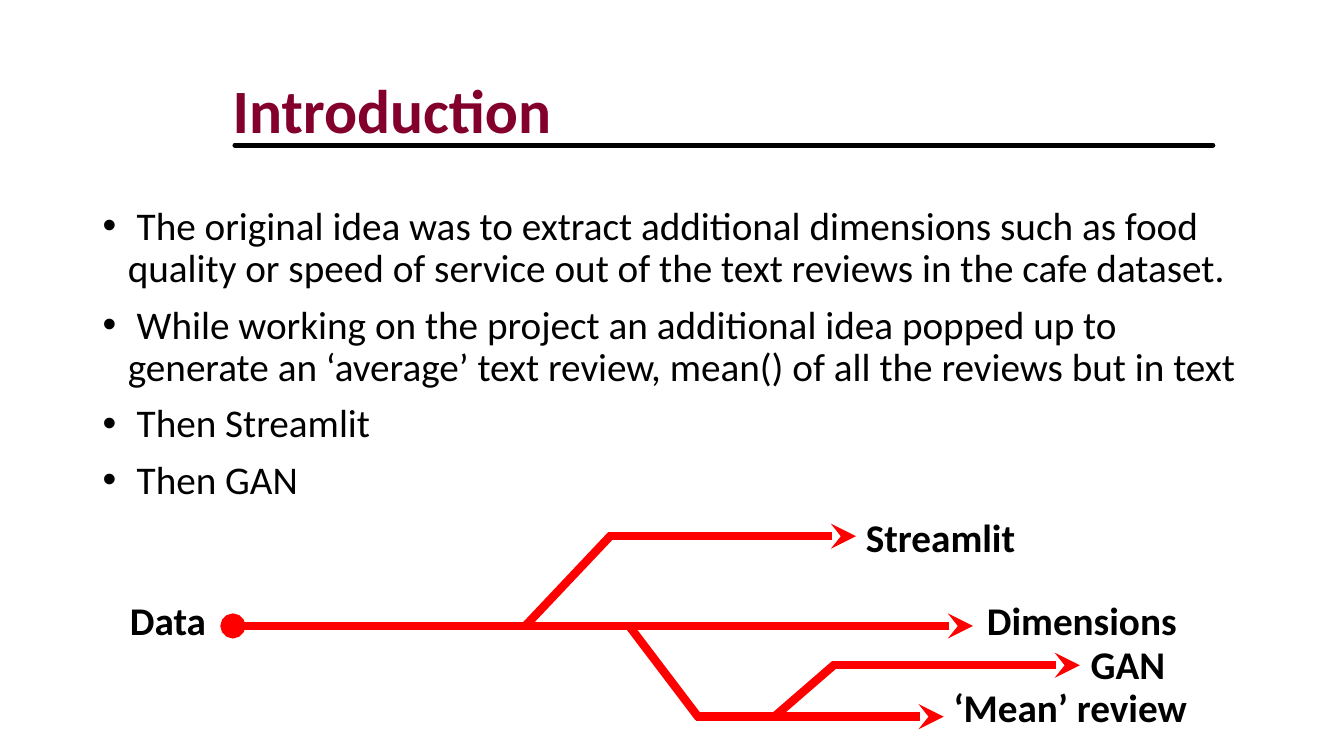
from lxml import etree
from pptx import Presentation
from pptx.dml.color import RGBColor
from pptx.enum.shapes import MSO_CONNECTOR
from pptx.enum.text import MSO_ANCHOR
from pptx.oxml.ns import qn
from pptx.util import Pt

PX = 9144  # 100 px to the inch
MAROON = RGBColor(0x82, 0x00, 0x2B)
BLACK = RGBColor(0x00, 0x00, 0x00)
RED = RGBColor(0xFF, 0x00, 0x00)
FONT = "Calibri"

presentation = Presentation()
presentation.slide_width = 1333 * PX
presentation.slide_height = 750 * PX
slide = presentation.slides.add_slide(presentation.slide_layouts[6])


def add_text(box, lines, size, color=BLACK, bold=False, anchor=MSO_ANCHOR.TOP):
    shape = slide.shapes.add_textbox(*(length * PX for length in box))
    frame = shape.text_frame
    frame.word_wrap = True
    frame.vertical_anchor = anchor
    for index, line in enumerate(lines):
        paragraph = frame.paragraphs[0] if index == 0 else frame.add_paragraph()
        run = paragraph.add_run()
        run.text = line
        run.font.name = FONT
        run.font.size = Pt(size)
        run.font.bold = bold
        run.font.color.rgb = color
    return frame


def add_line(start, end, color, width, head=None, tail=None, cap="flat"):
    points = (length * PX for length in (*start, *end))
    connector = slide.shapes.add_connector(MSO_CONNECTOR.STRAIGHT, *points)
    connector.line.color.rgb = color
    connector.line.width = Pt(width)
    outline = connector.line._ln
    outline.set("cap", cap)
    for tag, kind in (("a:headEnd", head), ("a:tailEnd", tail)):
        if kind:
            etree.SubElement(outline, qn(tag)).set("type", kind)
    etree.SubElement(connector._element.spPr, qn("a:effectLst"))


# Title and rule
title = add_text((221, 40, 1020, 145), ["Introduction"], 44, MAROON, True,
                 MSO_ANCHOR.MIDDLE)
title.paragraphs[0].line_spacing = 0.9
add_line((233, 144), (1203, 144), BLACK, 3.5, cap="rnd")

# Bullets
body = add_text((92, 200, 1150, 476), [
    " The original idea was to extract additional dimensions such as food "
    "quality or speed of service out of the text reviews in the cafe dataset.",
    " While working on the project an additional idea popped up to generate "
    "an ‘average’ text review, mean() of all the reviews but in text",
    " Then Streamlit",
    " Then GAN",
], 28)
for index, paragraph in enumerate(body.paragraphs):
    paragraph.line_spacing = 0.9
    if index:
        paragraph.space_before = Pt(10)
    properties = paragraph._p.get_or_add_pPr()
    properties.set("marL", str(25 * PX))
    properties.set("indent", str(-25 * PX))
    etree.SubElement(properties, qn("a:buFont")).set("typeface", "Arial")
    etree.SubElement(properties, qn("a:buChar")).set("char", "•")

# Main path
add_line((231, 621), (965, 621), RED, 6, head="oval", tail="stealth")

# Branches: fork on the parent path, bend, height of the arrow
BRANCH_LENGTH = 246
OVERLAP = 3
for fork, bend, arrow_y in (
    ((624, 621), (693, 712), 711),
    ((521, 621), (606, 531), 532),
    ((768, 711), (828, 659), 660),
):
    arrow_x = bend[0] - OVERLAP
    add_line((arrow_x, arrow_y), (arrow_x + BRANCH_LENGTH, arrow_y), RED, 6,
             tail="stealth")
    add_line(fork, bend, RED, 6)

# Labels
for label, left, top, width in (
    ("Data", 119, 587, 100),
    ("Dimensions", 969, 587, 214),
    ("‘Mean’ review", 936, 673, 267),
    ("Streamlit", 849, 504, 267),
    ("GAN", 1072, 630, 200),
):
    add_text((left, top, width, 57), [label], 28, bold=True)

presentation.save("out.pptx")
